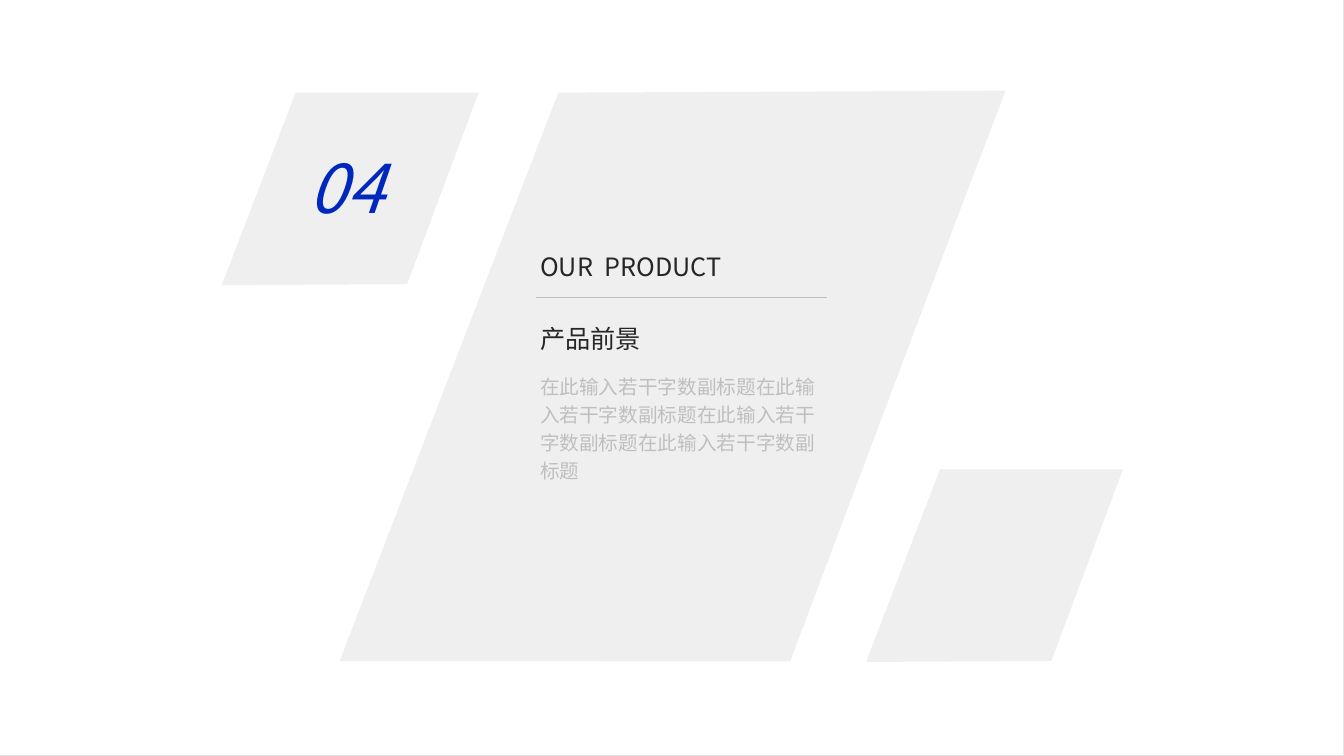
from lxml import etree
from pptx import Presentation
from pptx.dml.color import RGBColor
from pptx.enum.shapes import MSO_CONNECTOR, MSO_SHAPE
from pptx.enum.text import MSO_ANCHOR, MSO_AUTO_SIZE, PP_ALIGN
from pptx.oxml.ns import qn
from pptx.util import Pt

LINE, RECT = MSO_CONNECTOR.STRAIGHT, MSO_SHAPE.RECTANGLE
TOP, FIXED = MSO_ANCHOR.TOP, MSO_AUTO_SIZE.NONE
LEFT, CENTER = PP_ALIGN.LEFT, PP_ALIGN.CENTER
FONT = "Noto Sans CJK SC"
GREY, PALE = "BFBFBF", "EFEFEF"


def color(code):
    return RGBColor.from_string(code)


def write(shape, *lines, size, ink, align=LEFT, pitch=1.2, gap=0, italic=None):
    frame = shape.text_frame
    frame.word_wrap = True
    frame.auto_size = FIXED
    frame.vertical_anchor = TOP
    for i, text in enumerate(lines):
        para = frame.add_paragraph() if i else frame.paragraphs[0]
        para.alignment = align
        para.line_spacing = pitch
        para.space_before = Pt(gap if i else 0)
        run = para.add_run()
        run.text = text
        font = run.font
        font.name, font.size, font.italic = FONT, Pt(size), italic
        font.color.rgb = color(ink)
        # East Asian glyphs take their own typeface entry
        east = etree.SubElement(font._element, qn("a:ea"))
        east.set("typeface", FONT)


deck = Presentation()
deck.slide_width, deck.slide_height = Pt(960), Pt(540)
slide = deck.slides.add_slide(deck.slide_layouts[5])
shapes = slide.shapes

# Grey background with a white sheet that leaves a thin edge
back = slide.background.fill
back.solid()
back.fore_color.rgb = color("E4E4E4")
sheet = shapes.add_shape(RECT, Pt(-0.7), Pt(-0.7), Pt(960), Pt(540))
sheet.shadow.inherit = False
sheet.fill.solid()
sheet.fill.fore_color.rgb = color("FFFFFF")
sheet.line.fill.background()

# Slanted panels: two equal tiles and two large layers
tile = [(0, 137.5), (52.8, 0), (183.5, 0), (132.4, 136.8)]
panels = [[(x + left, y + top) for x, y in tile]
          for left, top in [(158.4, 66.2), (618.6, 335.3)]]
panels += [
    [(242.6, 472.3), (398.9, 66.2), (717.8, 64.8), (564.5, 472.3)],
    [(430.6, 472.3), (587.5, 66.2), (717.8, 66.2), (562.3, 472.3)],
]
for panel in panels:
    spots = [(Pt(x), Pt(y)) for x, y in panel]
    path = shapes.build_freeform(*spots[0])
    path.add_line_segments(spots[1:], close=True)
    form = path.convert_to_shape()
    form.shadow.inherit = False
    form.fill.solid()
    form.fill.fore_color.rgb = color(PALE)
    form.line.fill.background()

# Title in two languages, brought in front of the panels
title = shapes.title
title.left, title.top = Pt(378.7), Pt(171.4)
title.width, title.height = Pt(219.6), Pt(85)
write(title, "OUR  PRODUCT", "产品前景", size=18, ink="262626", gap=26)
shapes._spTree.append(title._element)

# Rule between the two title lines
rule = shapes.add_connector(LINE, Pt(383), Pt(212.4), Pt(590.4), Pt(212.4))
rule.line.color.rgb = color(GREY)
rule.line.width = Pt(0.5)
etree.SubElement(rule._element.spPr, qn("a:effectLst"))

# Subtitle
body = shapes.add_textbox(Pt(378.7), Pt(260.6), Pt(211.7), Pt(108))
write(body, "在此输入若干字数副标题" * 4, size=14, ink=GREY)

# Section number
number = shapes.add_textbox(Pt(203), Pt(100.8), Pt(88.6), Pt(67.7))
write(number, "04", size=48, ink="0028BE", align=CENTER, pitch=1, italic=True)

deck.save("out.pptx")
